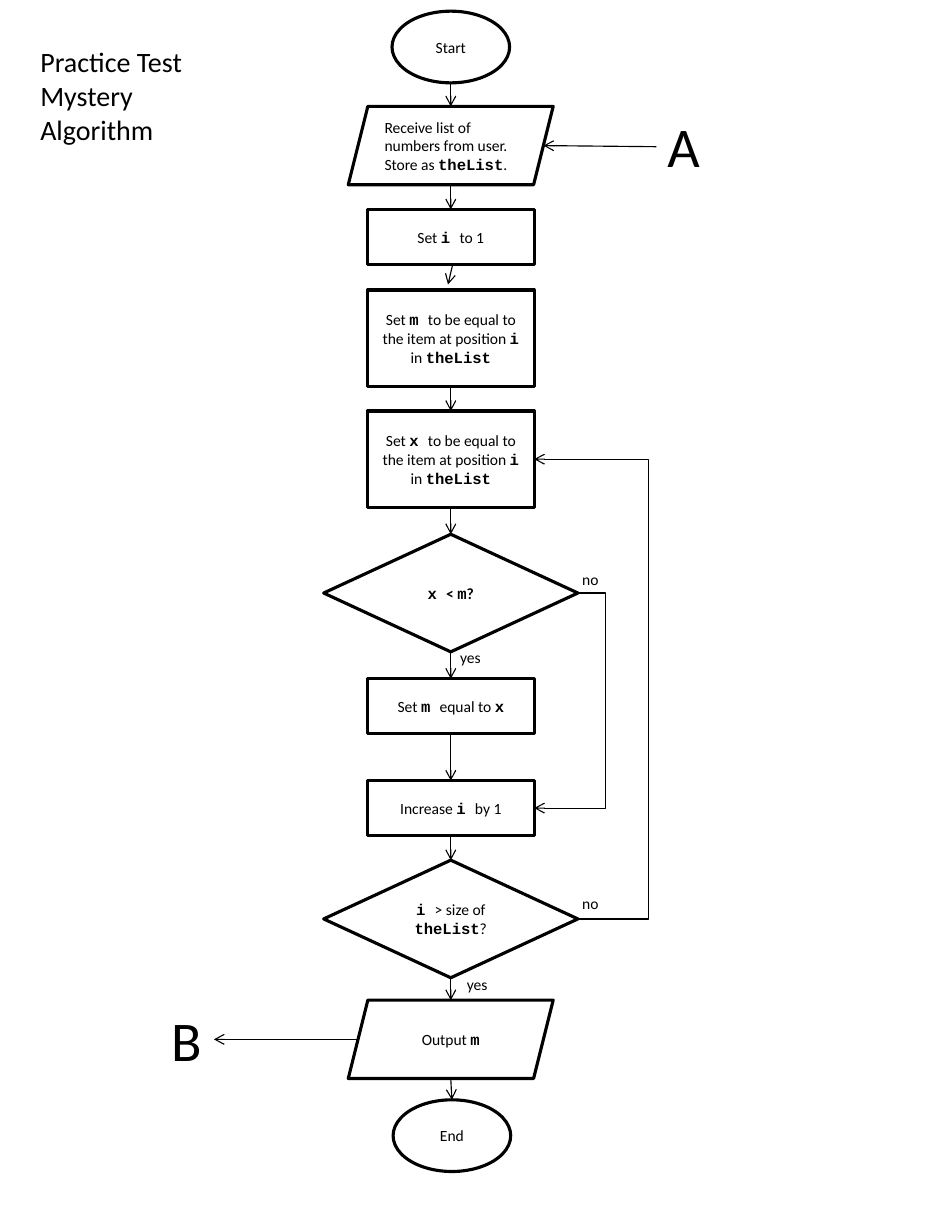
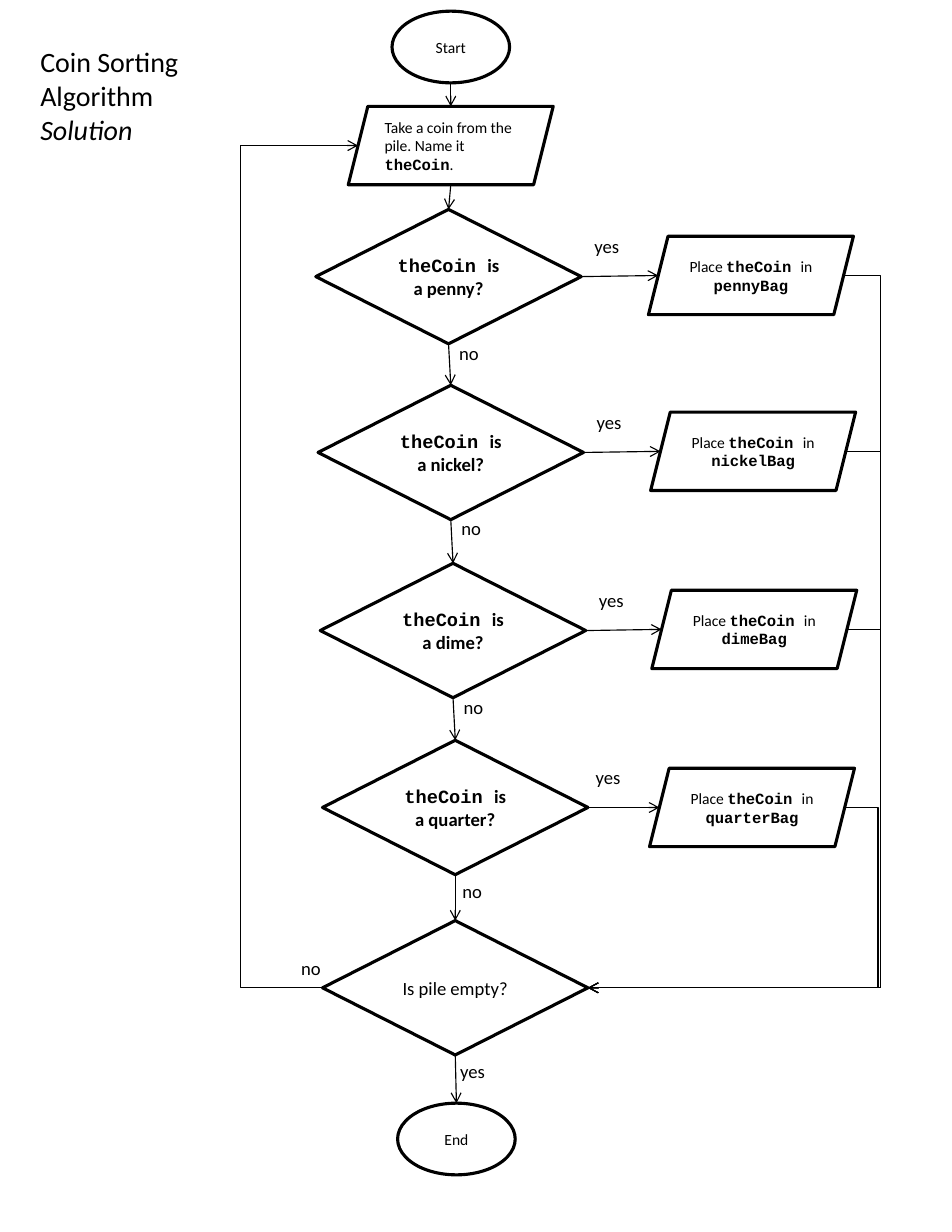
"""Builds two flowchart slides: a mystery algorithm and a coin sorting solution."""
from lxml import etree
from pptx import Presentation
from pptx.dml.color import RGBColor
from pptx.enum.shapes import MSO_CONNECTOR as Wire, MSO_SHAPE as Form
from pptx.enum.text import MSO_ANCHOR as Anchor, MSO_AUTO_SIZE as Fit, PP_ALIGN as Align
from pptx.oxml.ns import qn
from pptx.util import Inches, Pt

INK, PAPER = "000000", "FFFFFF"
SANS, MONO = "Calibri", "Courier New"
TOP, LEFT, BOTTOM, RIGHT = range(4)
SLANT = 0.25

KINDS = {
    "oval": (Form.OVAL, 1.05, 0.64, 10),
    "data": (Form.PARALLELOGRAM, 1.83, 0.7, 10),
    "step": (Form.RECTANGLE, 1.49, 0.49, 10),
    "block": (Form.RECTANGLE, 1.49, 0.86, 10),
    "test": (Form.DIAMOND, 2.27, 1.05, 10),
    "ask": (Form.DIAMOND, 2.37, 1.2, 12),
}
LABELS = {
    ("yes", 10): (0.39, 0.27), ("no", 10): (0.35, 0.27),
    ("yes", 12): (0.43, 0.3), ("no", 12): (0.38, 0.3),
    ("A", 36): (0.5, 0.71), ("B", 36): (0.48, 0.71),
}

MYSTERY = {
    "title": ("Practice Test", "Mystery", "Algorithm"),
    "width": 1.51,
    "flow": [
        ("oval", 3.5, 0.1, "Start"),
        ("data", 3.11, 0.95, "Receive list of numbers from user. Store as `theList`."),
        ("step", 3.28, 1.87, "Set `i `to 1"),
        ("block", 3.28, 2.59, "Set `m `to be equal to the item at position `i `in `theList"),
        ("block", 3.28, 3.67, "Set `x `to be equal to the item at position `i `in `theList"),
        ("test", 2.89, 4.77, "*`x `< `m`?"),
        ("step", 3.28, 6.06, "Set `m `equal to `x"),
        ("step", 3.28, 6.97, "Increase `i `by 1"),
        ("test", 2.89, 7.68, "`i `> size of `theList`?"),
        ("data", 3.11, 8.93, "Output `m"),
        ("oval", 3.51, 9.82, "End"),
    ],
    "labels": [
        ("no", 10, 5.1, 5.04), ("yes", 10, 4.01, 5.74),
        ("no", 10, 5.1, 7.93), ("yes", 10, 4.07, 8.66),
        ("A", 36, 5.86, 0.95), ("B", 36, 1.43, 8.93),
    ],
}
COINS = {
    "title": ("Coin Sorting", "Algorithm", "/Solution"),
    "width": 1.45,
    "flow": [
        ("oval", 3.5, 0.1, "Start"),
        ("data", 3.11, 0.95, "Take a coin from the pile. Name it `theCoin`."),
        ("ask", 2.82, 1.87, "*`theCoin `is a penny?"),
        ("ask", 2.84, 3.44, "*`theCoin `is a nickel?"),
        ("ask", 2.86, 5.03, "*`theCoin `is a dime?"),
        ("ask", 2.88, 6.61, "*`theCoin `is a quarter?"),
        ("ask", 2.88, 8.22, "Is pile empty?"),
        ("oval", 3.55, 9.85, "End"),
    ],
    "labels": [
        ("yes", 12, 5.21, 2.05), ("no", 12, 4, 3),
        ("yes", 12, 5.23, 3.62), ("no", 12, 4.02, 4.57),
        ("yes", 12, 5.25, 5.21), ("no", 12, 4.04, 6.16),
        ("yes", 12, 5.22, 6.79), ("no", 12, 4.03, 7.81),
        ("no", 12, 2.59, 8.49), ("yes", 12, 4.01, 9.41),
    ],
}
BAGS = [
    ("penny", 5.79, 2.11, 7.86),
    ("nickel", 5.81, 3.68, 7.86),
    ("dime", 5.82, 5.27, 7.86),
    ("quarter", 5.8, 6.86, 7.84),
]


def tint(code):
    return RGBColor.from_string(code)


def style(item, **values):
    for name, value in values.items():
        setattr(item, name, value)


def write(frame, lines, size, align):
    for row, line in enumerate(lines):
        para = frame.add_paragraph() if row else frame.paragraphs[0]
        para.alignment = align
        bold, slope = line[0] == "*", line[0] == "/"
        for turn, part in enumerate(line.lstrip("*/").split("`")):
            if part:
                code = turn % 2 == 1
                run = para.add_run()
                run.text = part
                style(run.font, name=MONO if code else SANS, size=Pt(size),
                      bold=bold or code, italic=slope)
                run.font.color.rgb = tint(INK)


def outline(line, width):
    line.color.rgb = tint(INK)
    line.width = Pt(width)


def node(slide, kind, left, top, text, align=Align.CENTER):
    form, wide, high, size = KINDS[kind]
    shape = slide.shapes.add_shape(form, *map(Inches, (left, top, wide, high)))
    shape.shadow.inherit = False
    shape.fill.solid()
    shape.fill.fore_color.rgb = tint(PAPER)
    outline(shape.line, 2)
    write(shape.text_frame, [text], size, align)
    return shape


def label(slide, text, size, left, top):
    box = slide.shapes.add_textbox(*map(Inches, (left, top, *LABELS[text, size])))
    style(box.text_frame, word_wrap=False, auto_size=Fit.SHAPE_TO_FIT_TEXT)
    write(box.text_frame, [text], size, Align.LEFT)


def spot(end):
    """Gives the point of an end, which is (x, y) in inches or (shape, side)."""
    shape, side = end
    if not hasattr(shape, "left"):
        return Inches(shape), Inches(side)
    skew = shape.auto_shape_type == Form.PARALLELOGRAM
    inset = int(shape.height * SLANT / 2) if skew else 0
    across = {LEFT: inset, RIGHT: shape.width - inset}
    down = {TOP: 0, BOTTOM: shape.height}
    return (shape.left + across.get(side, shape.width // 2),
            shape.top + down.get(side, shape.height // 2))


def arrow(slide, start, stop, rail=None):
    (x1, y1), (x2, y2) = spot(start), spot(stop)
    kind = Wire.STRAIGHT if rail is None else Wire.ELBOW
    link = slide.shapes.add_connector(kind, x1, y1, x2, y2)
    outline(link.line, 0.75)
    props = link._element.spPr
    etree.SubElement(props.find(qn("a:ln")), qn("a:tailEnd"), type="arrow")
    etree.SubElement(props, qn("a:effectLst"))
    if rail is not None:
        bend = round((Inches(rail) - x1) / (x2 - x1) * 100000)
        guides = props.find(qn("a:prstGeom")).find(qn("a:avLst"))
        etree.SubElement(guides, qn("a:gd"), name="adj1", fmla=f"val {bend}")
        return
    for (shape, side), join in ((start, link.begin_connect), (stop, link.end_connect)):
        if hasattr(shape, "left") and shape.auto_shape_type in (Form.RECTANGLE, Form.DIAMOND):
            join(shape, side)


def chart(deck, plan):
    """Adds a slide with its title, column of nodes and labels."""
    slide = deck.slides.add_slide(deck.slide_layouts[5])
    title = slide.shapes.title
    style(title, left=Inches(0.26), top=Inches(0.35),
          width=Inches(plan["width"]), height=Inches(1.01))
    style(title.text_frame, word_wrap=False, vertical_anchor=Anchor.TOP,
          auto_size=Fit.SHAPE_TO_FIT_TEXT)
    write(title.text_frame, plan["title"], 18, Align.LEFT)
    nodes = [node(slide, *item, Align.LEFT if rank == 1 else Align.CENTER)
             for rank, item in enumerate(plan["flow"])]
    for item in plan["labels"]:
        label(slide, *item)
    return slide, nodes


def chain(slide, nodes):
    for above, below in zip(nodes, nodes[1:]):
        arrow(slide, (above, BOTTOM), (below, TOP))


def mystery(deck):
    slide, nodes = chart(deck, MYSTERY)
    chain(slide, nodes[:3])
    arrow(slide, (4.04, 2.37), (4, 2.54))
    chain(slide, nodes[3:])
    fetch, less, grow, done = nodes[4], nodes[5], nodes[7], nodes[8]
    arrow(slide, (less, RIGHT), (grow, RIGHT), 5.41)
    arrow(slide, (done, RIGHT), (fetch, RIGHT), 5.79)
    arrow(slide, (5.86, 1.31), (nodes[1], RIGHT))
    arrow(slide, (nodes[9], LEFT), (1.91, 9.28))


def coins(deck):
    slide, nodes = chart(deck, COINS)
    chain(slide, nodes)
    take, pile = nodes[1], nodes[6]
    arrow(slide, (pile, LEFT), (take, LEFT), 2.15)
    for test, (coin, left, top, rail) in zip(nodes[2:6], BAGS):
        bag = node(slide, "data", left, top, f"Place `theCoin `in `{coin}Bag")
        arrow(slide, (test, RIGHT), (bag, LEFT))
        arrow(slide, (bag, RIGHT), (pile, RIGHT), rail)


def main():
    deck = Presentation()
    style(deck, slide_width=Inches(8.5), slide_height=Inches(11))
    mystery(deck)
    coins(deck)
    deck.save("out.pptx")


if __name__ == "__main__":
    main()
